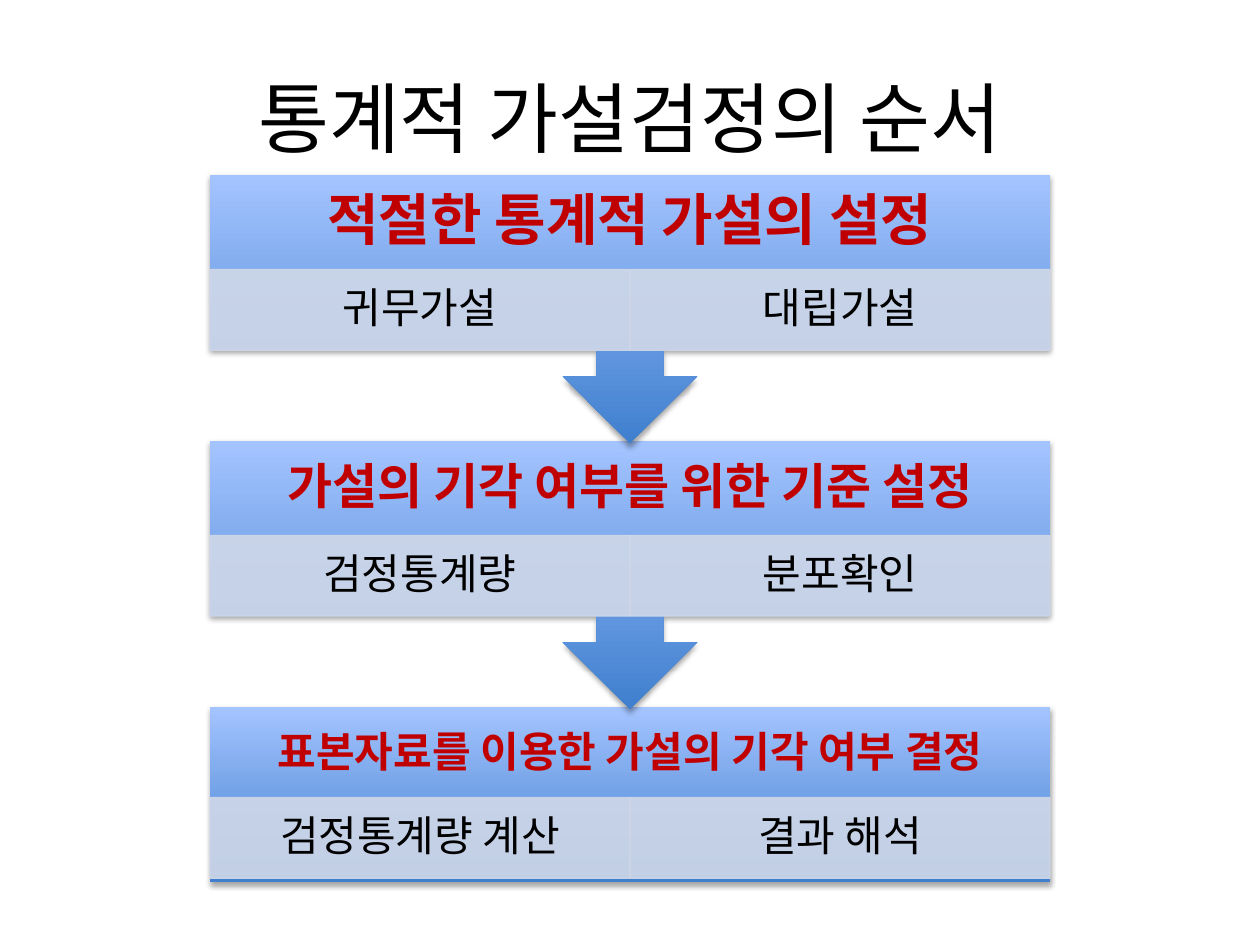
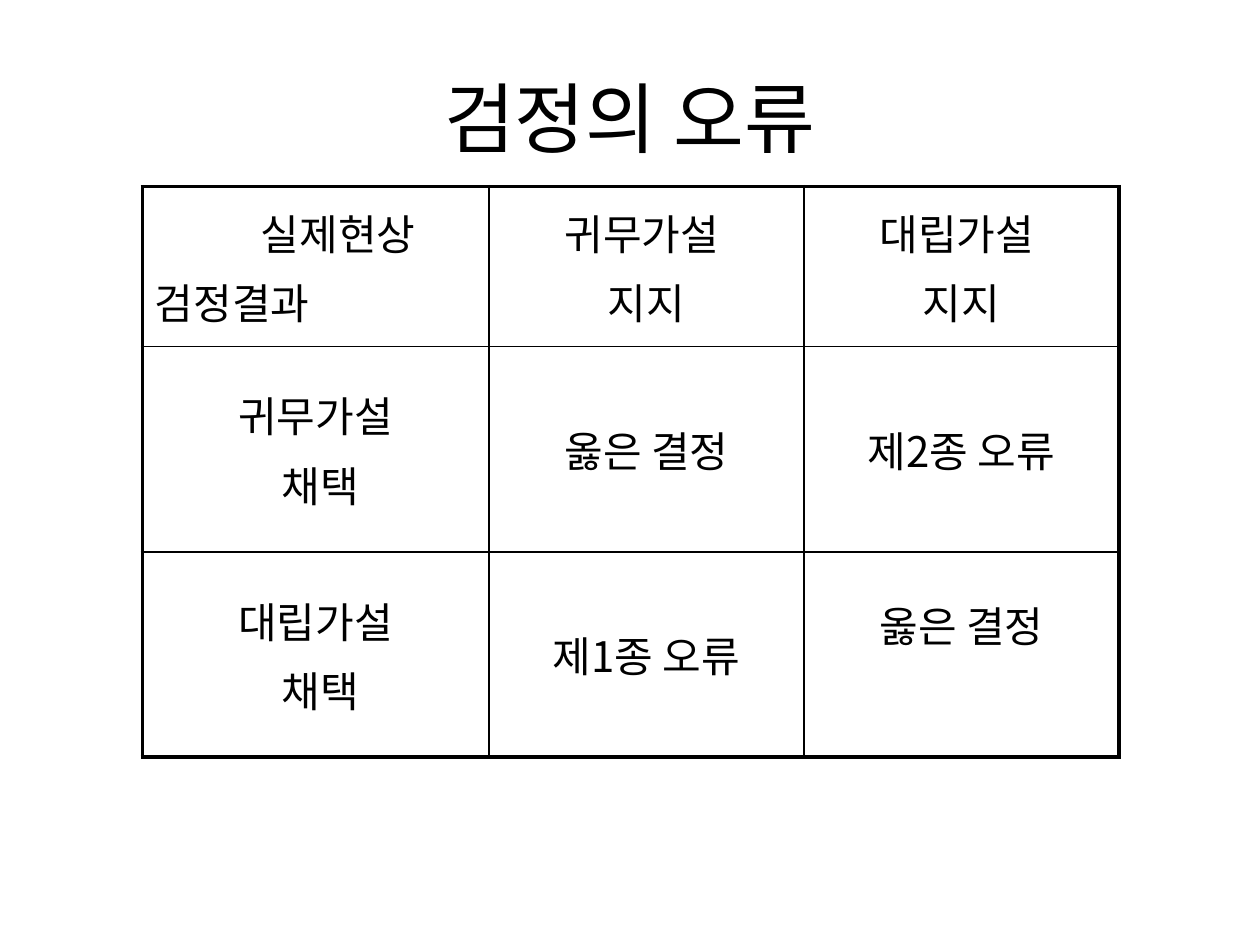
from lxml import etree
from pptx import Presentation
from pptx.dml.color import RGBColor
from pptx.enum.shapes import MSO_SHAPE
from pptx.enum.text import MSO_ANCHOR, PP_ALIGN
from pptx.oxml.ns import qn
from pptx.util import Inches, Pt

RECTANGLE = MSO_SHAPE.RECTANGLE
CALLOUT = MSO_SHAPE.DOWN_ARROW_CALLOUT
MIDDLE = MSO_ANCHOR.MIDDLE
CENTER, LEFT = PP_ALIGN.CENTER, PP_ALIGN.LEFT

BLACK = RGBColor(0x00, 0x00, 0x00)
RED = RGBColor(0xC0, 0x00, 0x00)
DEEP_BLUE = RGBColor(0x3F, 0x7F, 0xCE)
SKY_BLUE = RGBColor(0xA4, 0xC4, 0xFF)
PALE_BLUE = RGBColor(0xD0, 0xD8, 0xE8)

TITLE_FONT = "Calibri"
BODY_FONT = "Noto Sans CJK KR"
BODY_SIZE = 24

SLIDE_W, SLIDE_H = 10, 7.5
FLOW_LEFT, FLOW_W = SLIDE_W / 6, SLIDE_W * 2 / 3
FLOW_TOP, STEP_PITCH = 1.39, 2.11
BODY_H, CALLOUT_H = 1.39, 2.13
HEADING_H, DETAIL_H = 0.75, 0.64

STEPS = [
    ("적절한 통계적 가설의 설정", 32, ("귀무가설", "대립가설")),
    ("가설의 기각 여부를 위한 기준 설정", 28, ("검정통계량", "분포확인")),
    ("표본자료를 이용한 가설의 기각 여부 결정", 24, ("검정통계량 계산", "결과 해석")),
]

DECISIONS = [
    [["실제현상", "검정결과"], ["귀무가설 ", "지지"], ["대립가설 ", "지지"]],
    [["귀무가설", " 채택"], ["옳은 결정"], ["제2종 오류"]],
    [["대립가설", " 채택"], ["제1종 오류"], ["옳은 결정"]],
]
COLUMN_WIDTHS = [2.75, 2.5, 2.5]
ROW_HEIGHTS = [1.27, 1.63, 1.63]
OUTER_LINE, INNER_LINE = 2.25, 1


def box(left, top, width, height):
    return [Inches(length) for length in (left, top, width, height)]


def style_paragraph(paragraph, size, color=BLACK, bold=False, align=CENTER, latin=BODY_FONT):
    paragraph.alignment = align
    font = paragraph.font
    font.size, font.bold, font.name = Pt(size), bold, latin
    font.color.rgb = color
    etree.SubElement(font._element, qn("a:ea"), typeface=BODY_FONT)


def write_line(frame, text, size, inset_x, inset_y, **style):
    frame.word_wrap = True
    frame.vertical_anchor = MIDDLE
    frame.margin_left = frame.margin_right = Inches(inset_x)
    frame.margin_top = frame.margin_bottom = Inches(inset_y)
    paragraph = frame.paragraphs[0]
    paragraph.text = text
    style_paragraph(paragraph, size, **style)
    return paragraph


def write_step_line(frame, text, size, inset_x, inset_y, **style):
    paragraph = write_line(frame, text, size, inset_x, inset_y, **style)
    paragraph.line_spacing = 0.9
    paragraph.space_after = Pt(size * 0.35)


def add_title(slide, text):
    title = slide.shapes.add_textbox(*box(0.5, 0.3, SLIDE_W - 1, 1.25))
    write_line(title.text_frame, text, 44, 0.1, 0.05, latin=TITLE_FONT)


def add_shadow(shape):
    effects = etree.SubElement(shape._element.spPr, qn("a:effectLst"))
    shadow = etree.SubElement(effects, qn("a:outerShdw"), blurRad=str(Pt(3.1)),
                              dist=str(Pt(1.8)), dir="5400000", rotWithShape="0")
    color = etree.SubElement(shadow, qn("a:srgbClr"), val=str(BLACK))
    etree.SubElement(color, qn("a:alpha"), val="35000")


def add_step_body(slide, kind, top, height):
    body = slide.shapes.add_shape(kind, *box(FLOW_LEFT, top, FLOW_W, height))
    body.fill.gradient()
    body.fill.gradient_angle = 90
    for stop, color in zip(body.fill.gradient_stops, (DEEP_BLUE, SKY_BLUE)):
        stop.color.rgb = color
    body.line.fill.background()
    add_shadow(body)


def add_detail(slide, text, column, top):
    width = FLOW_W / 2
    detail = slide.shapes.add_shape(
        RECTANGLE, *box(FLOW_LEFT + column * width, top, width, DETAIL_H))
    detail.shadow.inherit = False
    detail.fill.solid()
    detail.fill.fore_color.rgb = PALE_BLUE
    detail.line.color.rgb = PALE_BLUE
    detail.line.width = Pt(0.75)
    for color in detail._element.spPr.iter(qn("a:srgbClr")):
        etree.SubElement(color, qn("a:alpha"), val="90000")
    write_step_line(detail.text_frame, text, BODY_SIZE, 0.19, 0.03)


def add_step(slide, index):
    heading, size, details = STEPS[index]
    is_last = index == len(STEPS) - 1
    top = FLOW_TOP + index * STEP_PITCH
    if is_last:
        add_step_body(slide, RECTANGLE, top, BODY_H)
    else:
        add_step_body(slide, CALLOUT, top, CALLOUT_H)
    label = slide.shapes.add_textbox(*box(FLOW_LEFT, top, FLOW_W, HEADING_H))
    inset = size / 128
    write_step_line(label.text_frame, heading, size, inset, inset, color=RED, bold=True)
    detail_top = top + (0.72 if is_last else HEADING_H)
    for column, text in enumerate(details):
        add_detail(slide, text, column, detail_top)


def set_borders(cell, widths):
    properties = cell._tc.get_or_add_tcPr()
    for position, (side, width) in enumerate(widths.items()):
        line = etree.Element(qn("a:ln" + side), w=str(Pt(width)))
        fill = etree.SubElement(line, qn("a:solidFill"))
        etree.SubElement(fill, qn("a:srgbClr"), val=str(BLACK))
        properties.insert(position, line)


def fill_cell(cell, lines, align):
    cell.fill.background()
    cell.vertical_anchor = MIDDLE
    cell.text = "\n".join(lines)
    for paragraph in cell.text_frame.paragraphs:
        paragraph.space_before = Pt(BODY_SIZE * 0.2)
        style_paragraph(paragraph, BODY_SIZE, align=align)


def add_decision_table(slide):
    last_row, last_column = len(ROW_HEIGHTS) - 1, len(COLUMN_WIDTHS) - 1
    table = slide.shapes.add_table(
        len(ROW_HEIGHTS), len(COLUMN_WIDTHS),
        *box(1.13, 1.48, sum(COLUMN_WIDTHS), sum(ROW_HEIGHTS))).table
    table.first_row = table.horz_banding = False
    for column, width in zip(table.columns, COLUMN_WIDTHS):
        column.width = Inches(width)
    for row, height in zip(table.rows, ROW_HEIGHTS):
        row.height = Inches(height)
    for r, row in enumerate(DECISIONS):
        for c, lines in enumerate(row):
            cell = table.cell(r, c)
            fill_cell(cell, lines, LEFT if r == c == 0 else CENTER)
            on_edge = {"L": c == 0, "R": c == last_column, "T": r == 0, "B": r == last_row}
            set_borders(cell, {side: OUTER_LINE if edge else INNER_LINE
                               for side, edge in on_edge.items()})
    actual_state = table.cell(0, 0).text_frame.paragraphs[0]
    actual_state._p.get_or_add_pPr().set("marL", str(Inches(0.84)))
    table.cell(last_row, last_column).margin_bottom = Inches(0.53)


def main():
    deck = Presentation()
    deck.slide_width, deck.slide_height = Inches(SLIDE_W), Inches(SLIDE_H)
    blank = deck.slide_layouts[6]

    procedure = deck.slides.add_slide(blank)
    add_title(procedure, "통계적 가설검정의 순서")
    for index in reversed(range(len(STEPS))):
        add_step(procedure, index)

    errors = deck.slides.add_slide(blank)
    add_title(errors, "검정의 오류")
    add_decision_table(errors)

    deck.save("out.pptx")


main()
